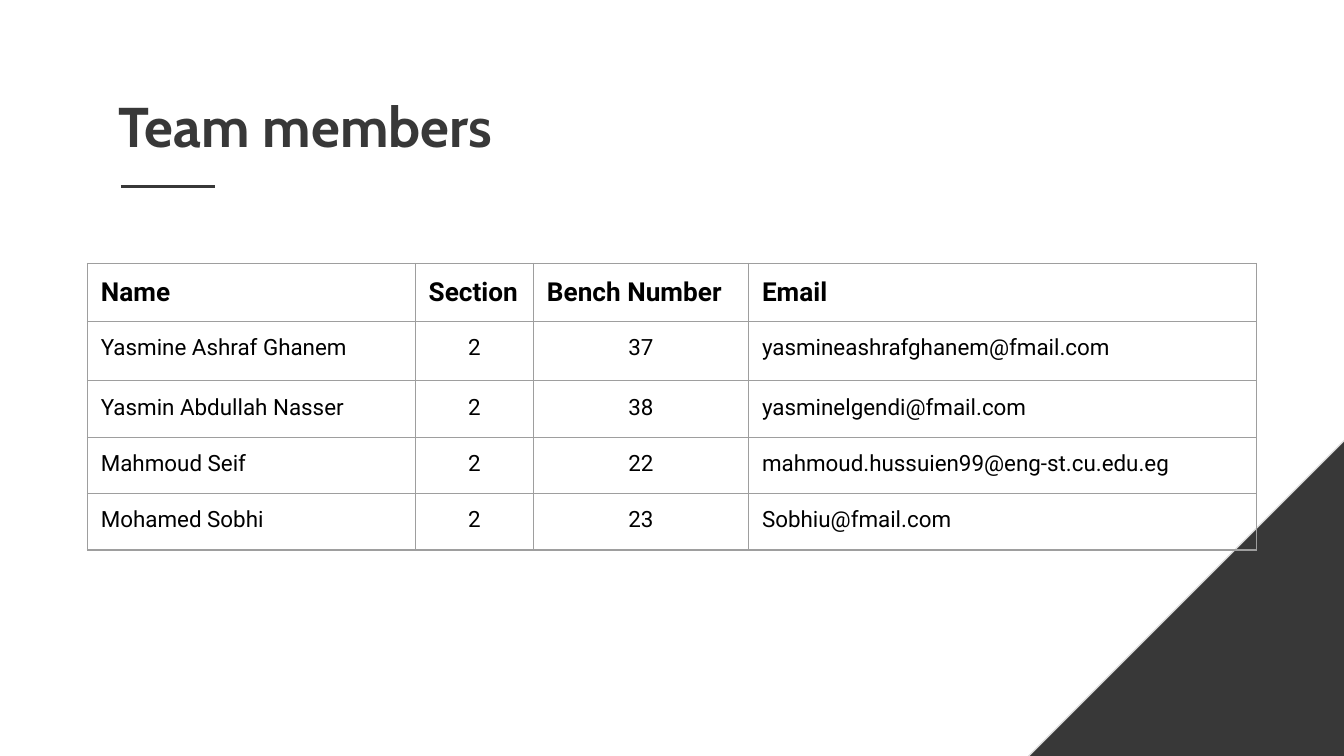
from lxml.etree import SubElement
from pptx import Presentation
from pptx.dml.color import RGBColor
from pptx.enum.shapes import MSO_CONNECTOR as Connector, MSO_SHAPE as Shape
from pptx.enum.text import MSO_ANCHOR as Anchor, PP_ALIGN as Align
from pptx.oxml.ns import qn
from pptx.util import Inches, Pt

CHARCOAL = RGBColor(0x38, 0x38, 0x38)
BLACK = RGBColor(0x00, 0x00, 0x00)
PALE_GRAY = RGBColor(0xDB, 0xDB, 0xDB)
BORDER_GRAY = RGBColor(0x9E, 0x9E, 0x9E)
GRID_COLUMNS, GRID_ROWS = 100, 56.25
UNIT = Inches(0.1)

HEADINGS = ("Name", "Section", "Bench Number", "Email")
MEMBERS = (
    ("Yasmine Ashraf Ghanem", "2", "37", "yasmineashrafghanem@fmail.com"),
    ("Yasmin Abdullah Nasser", "2", "38", "yasminelgendi@fmail.com"),
    ("Mahmoud Seif", "2", "22", "mahmoud.hussuien99@eng-st.cu.edu.eg"),
    ("Mohamed Sobhi", "2", "23", "Sobhiu@fmail.com"),
)


def units(*counts):
    return [round(count * UNIT) for count in counts]


def write(frame, text, font="Roboto", size=12, color=BLACK, bold=False, align=Align.LEFT):
    frame.word_wrap = True
    paragraph = frame.paragraphs[0]
    paragraph.alignment = align
    run = paragraph.add_run()
    run.text = text
    run.font.name = font
    run.font.size = Pt(size)
    run.font.color.rgb = color
    run.font.bold = bold


class TeamSlide:
    def __init__(self, presentation):
        self.slide = presentation.slides.add_slide(presentation.slide_layouts[6])
        self.shapes = self.slide.shapes
        self.inset = UNIT

    def corner(self, left, top, side):
        triangle = self.shapes.add_shape(Shape.RIGHT_TRIANGLE, *units(left, top, side, side))
        triangle.shadow.inherit = False
        triangle.fill.solid()
        triangle.fill.fore_color.rgb = CHARCOAL
        triangle.line.color.rgb = PALE_GRAY
        triangle.line.width = Pt(0.75)
        triangle._element.spPr.find(qn("a:xfrm")).set("flipH", "1")

    def title(self, text, left, top, width, height):
        frame = self.shapes.add_textbox(*units(left, top, width, height)).text_frame
        frame.margin_left = frame.margin_right = self.inset
        frame.margin_top = frame.margin_bottom = self.inset
        frame.vertical_anchor = Anchor.TOP
        write(frame, text, font="Cabin", size=30, color=CHARCOAL, bold=True)

    def underline(self, left, top, width):
        rule = self.shapes.add_connector(Connector.STRAIGHT, *units(left, top, left + width, top))
        rule.line.color.rgb = CHARCOAL
        rule.line.width = Pt(1.5)
        SubElement(rule._element.spPr, qn("a:effectLst"))

    def roster(self, left, top, widths, heights):
        rows = (HEADINGS, *MEMBERS)
        place = units(left, top, sum(widths), sum(heights))
        table = self.shapes.add_table(len(rows), len(widths), *place).table
        table.first_row = table.horz_banding = False
        for column, width in zip(table.columns, units(*widths)):
            column.width = width
        for row, height in zip(table.rows, units(*heights)):
            row.height = height
        for row_index, values in enumerate(rows):
            heading = row_index == 0
            for column_index, value in enumerate(values):
                centered = not heading and column_index in (1, 2)
                cell = table.cell(row_index, column_index)
                self.style_cell(cell)
                write(
                    cell.text_frame,
                    value,
                    size=14 if heading else 12,
                    bold=heading,
                    align=Align.CENTER if centered else Align.LEFT,
                )

    def style_cell(self, cell):
        cell.margin_left = cell.margin_right = self.inset
        cell.margin_top = cell.margin_bottom = self.inset
        properties = cell._tc.get_or_add_tcPr()
        for side in ("lnL", "lnR", "lnT", "lnB"):
            border = SubElement(properties, qn(f"a:{side}"), w=str(Pt(0.75)))
            fill = SubElement(border, qn("a:solidFill"))
            SubElement(fill, qn("a:srgbClr"), val=str(BORDER_GRAY))
        cell.fill.background()


def main():
    presentation = Presentation()
    presentation.slide_width, presentation.slide_height = units(GRID_COLUMNS, GRID_ROWS)
    team = TeamSlide(presentation)
    team.corner(63.5, 16.8, 52.5)
    team.title("Team members", 7.8, 5.8, 63.1, 5.8)
    team.underline(9, 13.9, 7)
    team.roster(6.5, 19.6, (24.4, 8.8, 16, 37.8), (4.2, 4.4, 4.2, 4.2, 4.2))
    presentation.save("out.pptx")


if __name__ == "__main__":
    main()
